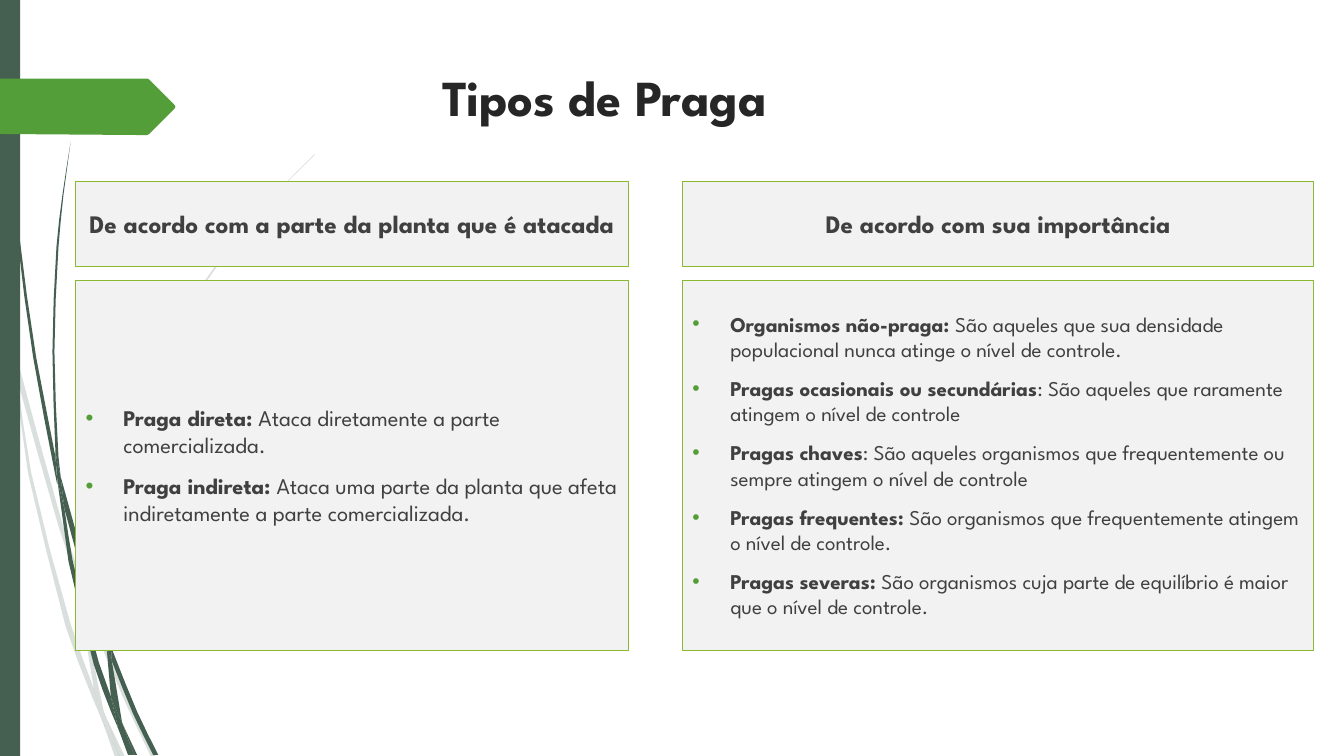
from dataclasses import dataclass
from math import dist

from lxml.etree import SubElement
from pptx import Presentation
from pptx.dml.color import RGBColor
from pptx.enum.shapes import MSO_SHAPE as Preset
from pptx.enum.text import MSO_ANCHOR as Anchor, PP_ALIGN as Align
from pptx.oxml.ns import qn
from pptx.util import Inches, Pt


@dataclass(frozen=True)
class Theme:
    font: str = "League Spartan"
    forest: str = "455F51"
    leaf: str = "549E39"
    lime: str = "8AB833"
    panel: str = "F2F2F2"
    heading: str = "262626"
    body: str = "404040"
    title_size: int = 36
    header_size: int = 18
    pale_opacity: int = 20


THEME = Theme()
TITLE = "Tipos de Praga"
# Each column: left, width, text size, header, (bold term, explanation) items
COLUMNS = [
    (0.75, 5.48, 16, "De acordo com a parte da planta que é atacada", [
        ("Praga direta: ", "Ataca diretamente a parte comercializada."),
        ("Praga indireta: ", "Ataca uma parte da planta que afeta indiretamente a parte comercializada."),
    ]),
    (6.77, 6.26, 15, "De acordo com sua importância", [
        ("Organismos não-praga: ", "São aqueles que sua densidade populacional nunca atinge o nível de controle."),
        ("Pragas ocasionais ou secundárias", ": São aqueles que raramente atingem o nível de controle"),
        ("Pragas chaves", ": São aqueles organismos que frequentemente ou sempre atingem o nível de controle"),
        ("Pragas frequentes: ", "São organismos que frequentemente atingem o nível de controle."),
        ("Pragas severas: ", "São organismos cuja parte de equilíbrio é maior que o nível de controle."),
    ]),
]
HEADER_ROW, ITEMS_ROW = (1.8, 0.84), (2.78, 3.67)

# Each blade of grass: the points along its two edges, in inches
PALE_BLADES = [
    ([(0.11, 3.5), (0.09, 3.22), (0, 2.82)], [(0, 2.99), (0.1, 3.44)]),
    ([(0.14, 3.45), (0.62, 5.2), (0.85, 5.86)], [(0.84, 5.99), (0.58, 5.22), (0.17, 3.76)]),
    ([(0.88, 5.96), (0.92, 6.07), (1.27, 6.92), (1.55, 7.51)], [(1.5, 7.51), (1.23, 6.94), (0.88, 6.1)]),
    ([(1.05, 7.11), (1.24, 7.51)], [(1.19, 7.51)]),
    ([(0.11, 3.5), (0.17, 3.76), (0.31, 4.69), (0.7, 6.19), (0.93, 6.83), (0.99, 7.07), (1.01, 7.14)],
     [(0.92, 6.93), (0.65, 6.21), (0.28, 4.7)]),
    ([(0.84, 5.99), (0.88, 6.1), (0.91, 6.46), (1.03, 7.06), (1.05, 7.11)],
     [(0.96, 6.92), (0.93, 6.83), (0.87, 6.46)]),
    ([(0.85, 5.86), (0.85, 5.84), (1.07, 4.61), (1.58, 3.48), (2.28, 2.44), (2.68, 1.97), (3.12, 1.53)],
     [(3.12, 1.54), (2.68, 1.98), (2.29, 2.45), (1.6, 3.49), (1.1, 4.62), (0.88, 5.84), (0.88, 5.96)]),
    ([(1.01, 7.14), (1.19, 7.51)], [(1.14, 7.51)]),
    ([(0.93, 6.83), (0.96, 6.92), (1.05, 7.11), (1.19, 7.51)], [(1.01, 7.14), (0.99, 7.07)]),
]
DARK_BLADES = [
    ([(0.03, 0), (0.04, 0.48), (0.07, 1.1), (0.17, 2.33), (0.33, 3.55), (0.56, 4.77)],
     [(0.57, 4.81), (0.55, 4.53), (0.36, 3.55), (0.19, 2.32), (0.08, 1.09), (0.05, 0.48), (0.04, 0)]),
    ([(0.6, 4.72), (0.93, 5.9), (1.06, 6.31)], [(1.06, 6.45), (0.88, 5.92), (0.64, 5.05)]),
    ([(1.1, 6.41), (1.13, 6.49), (1.36, 7.06), (1.57, 7.49)], [(1.52, 7.49), (1.32, 7.08), (1.11, 6.56)]),
    ([(0.57, 4.77), (0.64, 5.05), (0.72, 5.56), (0.98, 6.57), (1.1, 6.91), (1.16, 7.17), (1.17, 7.22)],
     [(1.11, 7.08), (0.93, 6.59), (0.68, 5.57)]),
    ([(0.7, 1.41), (0.62, 1.93), (0.56, 2.45), (0.52, 3.49), (0.55, 4.49)],
     [(0.6, 4.72), (0.58, 4.53), (0.54, 3.49), (0.58, 2.45), (0.63, 1.93)]),
    ([(1.22, 7.19), (1.36, 7.49)], [(1.33, 7.49)]),
    ([(0.55, 4.49), (0.6, 4.72), (0.64, 5.05)], [(0.57, 4.77), (0.55, 4.53)]),
    ([(1.17, 7.22), (1.31, 7.49)], [(1.27, 7.49)]),
    ([(1.06, 6.45), (1.09, 6.51), (1.11, 6.56), (1.21, 7.16), (1.22, 7.19)], [(1.16, 7.06), (1.1, 6.91)]),
    ([(1.06, 6.31), (1.1, 6.41), (1.11, 6.56)], [(1.09, 6.51), (1.06, 6.45)]),
    ([(1.1, 6.91), (1.16, 7.06), (1.22, 7.19), (1.33, 7.49)], [(1.3, 7.49), (1.17, 7.22), (1.16, 7.17)]),
]
ARROW = [(0, 0.78), (1.46, 0.78), (1.48, 0.79), (1.73, 1.04), (1.74, 1.06),
         (1.73, 1.08), (1.48, 1.33), (1.46, 1.34), (1.36, 1.34), (0, 1.33)]


def smooth(knots):
    """Add the middle of a Hermite curve, spaced by chord length, to each long stretch."""
    def slope(i):
        before, after = max(i - 1, 0), min(i + 1, len(knots) - 1)
        length = sum(dist(knots[j], knots[j + 1]) for j in range(before, after))
        return [(b - a) / length for a, b in zip(knots[before], knots[after])]

    curve = knots[:1]
    for i, (start, end) in enumerate(zip(knots, knots[1:])):
        chord = dist(start, end)
        if chord > 0.4:
            curve.append(tuple((a + b) / 2 + (m - n) * chord / 8
                               for a, b, m, n in zip(start, end, slope(i), slope(i + 1))))
        curve.append(end)
    return curve


def paint(shape, fill, line=None, opacity=100):
    shape.shadow.inherit = False
    shape.fill.solid()
    shape.fill.fore_color.rgb = RGBColor.from_string(fill)
    if opacity < 100:
        color = shape._element.spPr.find(qn("a:solidFill"))[0]
        SubElement(color, qn("a:alpha"), val=str(opacity * 1000))
    if line:
        shape.line.color.rgb = RGBColor.from_string(line)
        shape.line.width = Pt(0.75)
    else:
        shape.line.fill.background()


def draw_outline(shapes, points, fill, opacity=100):
    corners = [(Inches(x), Inches(y)) for x, y in points]
    builder = shapes.build_freeform(*corners[0])
    builder.add_line_segments(corners[1:], close=True)
    paint(builder.convert_to_shape(), fill, opacity=opacity)


def add_run(paragraph, text, size, color, bold):
    run = paragraph.add_run()
    run.text = text
    run.font.name, run.font.size, run.font.bold = THEME.font, Pt(size), bold
    run.font.color.rgb = RGBColor.from_string(color)


def add_bullet(paragraph):
    props = paragraph._p.get_or_add_pPr()
    props.set("marL", str(Pt(27)))
    props.set("indent", str(Pt(-27)))
    SubElement(SubElement(props, qn("a:buClr")), qn("a:srgbClr"), val=THEME.leaf)
    SubElement(props, qn("a:buFont"), typeface="Arial")
    SubElement(props, qn("a:buChar"), char="•")


def add_panel(shapes, left, width, row, paragraphs, size, bulleted):
    top, height = row
    panel = shapes.add_shape(Preset.RECTANGLE, Inches(left), Inches(top), Inches(width), Inches(height))
    paint(panel, THEME.panel, THEME.lime)
    frame = panel.text_frame
    frame.word_wrap, frame.vertical_anchor = True, Anchor.MIDDLE
    for i, (term, explanation) in enumerate(paragraphs):
        paragraph = frame.add_paragraph() if i else frame.paragraphs[0]
        paragraph.space_before = Pt(10)
        paragraph.alignment = Align.LEFT if bulleted else Align.CENTER
        if bulleted:
            add_bullet(paragraph)
        add_run(paragraph, term, size, THEME.body, True)
        if explanation:
            add_run(paragraph, explanation, size, THEME.body, False)


def main():
    deck = Presentation()
    deck.slide_width, deck.slide_height = Inches(13.33), Inches(7.5)
    shapes = deck.slides.add_slide(deck.slide_layouts[6]).shapes

    for blades, opacity in ((PALE_BLADES, THEME.pale_opacity), (DARK_BLADES, 100)):
        for edge, back_edge in blades:
            draw_outline(shapes, smooth(edge) + smooth(back_edge), THEME.forest, opacity)
    side_bar = shapes.add_shape(Preset.RECTANGLE, 0, 0, Inches(0.2), deck.slide_height)
    paint(side_bar, THEME.forest)
    draw_outline(shapes, ARROW, THEME.leaf)

    title = shapes.add_textbox(Inches(4.29), Inches(0.61), Inches(9.75), Inches(1.4)).text_frame
    title.word_wrap = True
    add_run(title.paragraphs[0], TITLE, THEME.title_size, THEME.heading, True)

    for left, width, size, header, items in COLUMNS:
        add_panel(shapes, left, width, HEADER_ROW, [(header, "")], THEME.header_size, False)
        add_panel(shapes, left, width, ITEMS_ROW, items, size, True)
    deck.save("out.pptx")


if __name__ == "__main__":
    main()
